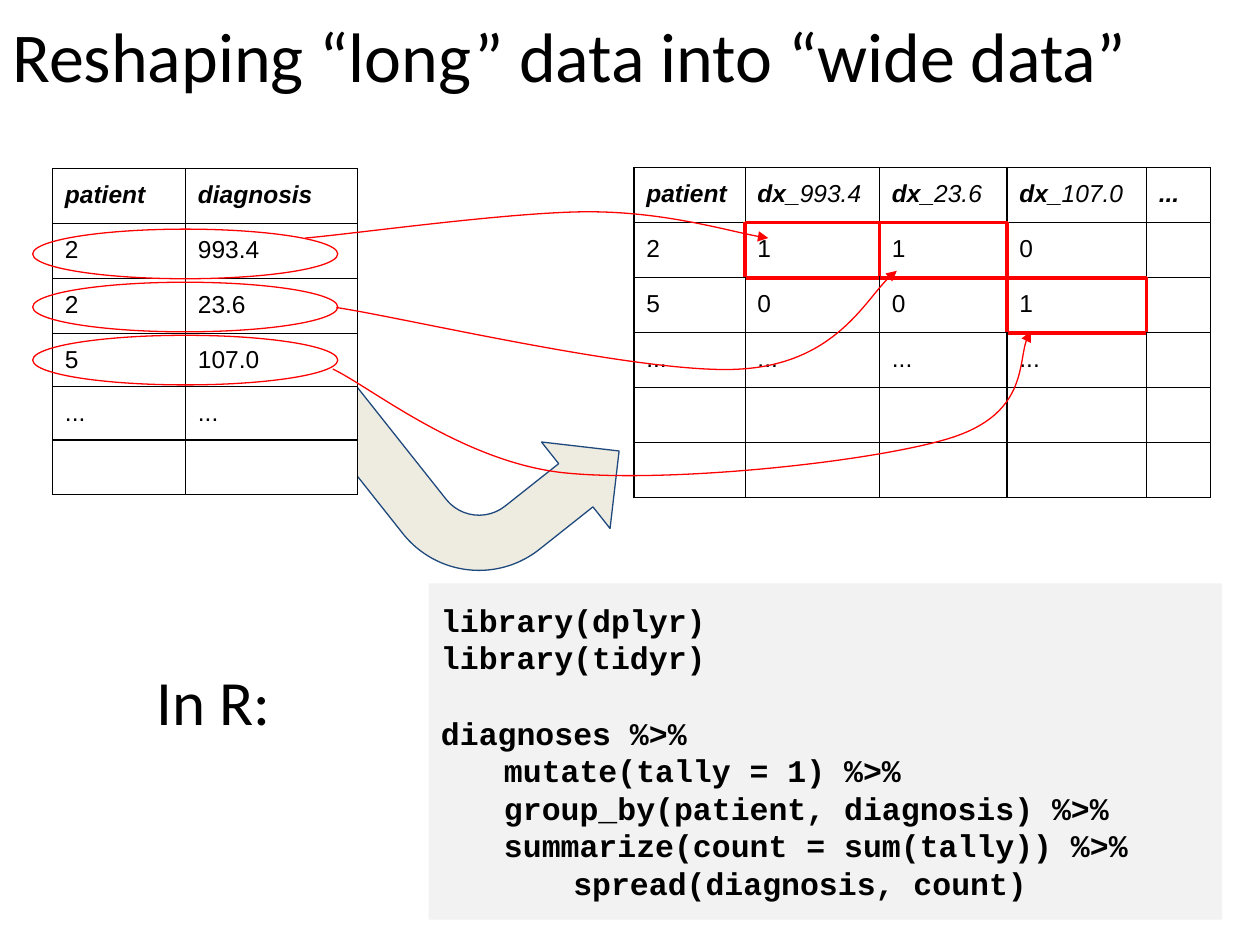
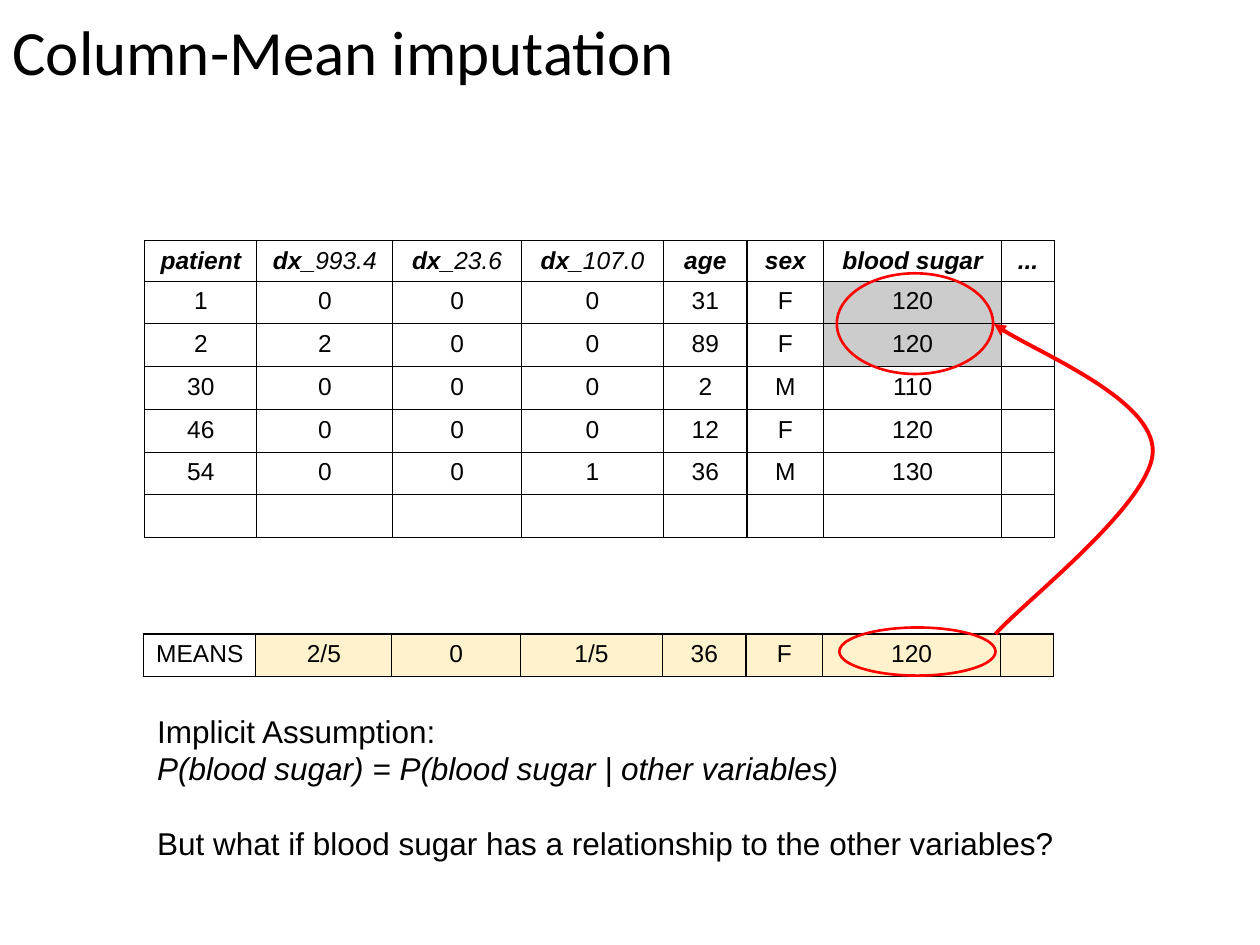
import lxml.etree
import pptx
import pptx.dml.color
import pptx.enum.shapes
import pptx.enum.text
import pptx.oxml.ns
import pptx.util

SHAPES = pptx.enum.shapes.MSO_SHAPE
ANCHOR = pptx.enum.text.MSO_ANCHOR
ALIGN = pptx.enum.text.PP_ALIGN
TITLE_ONLY = 5
BLACK, WHITE, RED = "000000", "FFFFFF", "FF0000"
SAND, NAVY, CODE_GREY, IMPUTED_GREY, MEANS_YELLOW = "EEECE1", "1F497D", "F2F2F2", "CCCCCC", "FFF2CC"
INSET = 0.25
SIDES = {"lnL": (0, -1), "lnR": (0, 1), "lnT": (-1, 0), "lnB": (1, 0)}


def color(hex_value):
    """Return the RGB colour for a hex string."""
    return pptx.dml.color.RGBColor.from_string(hex_value)


def lengths(*values):
    """Return centimetre values as lengths."""
    return [pptx.util.Cm(value) for value in values]


def assign(target, values):
    """Set every attribute named in a dict on the target."""
    for name, value in values.items():
        setattr(target, name, value)


def add_xml(parent, tag, **attributes):
    """Append a DrawingML child element and return it."""
    return lxml.etree.SubElement(parent, pptx.oxml.ns.qn(f"a:{tag}"), attributes)


class Deck:
    """Holds the deck style and the current slide."""

    def __init__(self):
        """Open a 4:3 presentation."""
        self.presentation = pptx.Presentation()
        size = lengths(25.4, 19.05)
        assign(self.presentation, dict(zip(("slide_width", "slide_height"), size)))
        self.slide = None

    def start_slide(self, title, size):
        """Add a slide with its title at the top left."""
        layout = self.presentation.slide_layouts[TITLE_ONLY]
        self.slide = self.presentation.slides.add_slide(layout)
        heading = self.slide.shapes.title
        box = lengths(0, 0, 24.13, 3.18)
        assign(heading, dict(zip(("left", "top", "width", "height"), box)))
        self.set_lines(heading, [title], "Calibri", size)

    def set_lines(self, shape, lines, face, size, gap_before=None, italic_line=None,
                  bold=False, anchor=ANCHOR.TOP, pitch=None):
        """Fill a shape with left-aligned lines, with one line of space before gap_before."""
        frame = shape.text_frame
        margins = dict.fromkeys(
            ("margin_left", "margin_right", "margin_top", "margin_bottom"), pptx.util.Cm(INSET))
        assign(frame, {"word_wrap": True, "vertical_anchor": anchor,
                       "auto_size": pptx.enum.text.MSO_AUTO_SIZE.NONE, **margins})
        for index, line in enumerate(lines):
            paragraph = frame.add_paragraph() if index else frame.paragraphs[0]
            paragraph.alignment = ALIGN.LEFT
            if pitch:
                paragraph.line_spacing = pptx.util.Pt(pitch)
            if index and index == gap_before:
                paragraph.space_before = pptx.util.Pt(pitch)
            self.add_run(paragraph, line, face, size, bold, index == italic_line)

    def add_run(self, paragraph, text, face, size, bold=False, italic=False):
        """Add one formatted run."""
        run = paragraph.add_run()
        run.text = text
        assign(run.font, {"name": face, "size": pptx.util.Pt(size), "bold": bold, "italic": italic})
        run.font.color.rgb = color(BLACK)

    def text(self, box, lines, face, size, **options):
        """Add a text box."""
        self.set_lines(self.slide.shapes.add_textbox(*lengths(*box)), lines, face, size, **options)

    def finish(self, shape, fill=None, line=None, width=0.75):
        """Give a shape its fill and outline without a shadow."""
        shape.shadow.inherit = False
        if fill:
            shape.fill.solid()
            shape.fill.fore_color.rgb = color(fill)
        else:
            shape.fill.background()
        if line:
            shape.line.color.rgb = color(line)
            shape.line.width = pptx.util.Pt(width)
        else:
            shape.line.fill.background()
        return shape

    def shape(self, kind, box, **style):
        """Add a preset shape."""
        return self.finish(self.slide.shapes.add_shape(kind, *lengths(*box)), **style)

    def bent_arrow(self, box, rotation, adjustments):
        """Add a mirrored, turned block arrow."""
        arrow = self.shape(SHAPES.BENT_ARROW, box, fill=SAND, line=NAVY)
        for index, value in enumerate(adjustments):
            arrow.adjustments[index] = value
        arrow.element.spPr.xfrm.set("flipH", "1")
        arrow.rotation = rotation

    def curved_arrow(self, points, width=0.75):
        """Draw a red cubic curve through a start point and triples of control points."""
        start, *controls = [lengths(*point) for point in points]
        builder = self.slide.shapes.build_freeform(*start)
        builder.add_line_segments(controls, close=False)
        curve = self.finish(builder.convert_to_shape(), line=RED, width=width)
        segments = list(curve.element.iter(pptx.oxml.ns.qn("a:lnTo")))
        outline = segments[0].getparent()
        for first in range(0, len(segments), 3):
            cubic = add_xml(outline, "cubicBezTo")
            for segment in segments[first:first + 3]:
                cubic.append(segment[0])
                outline.remove(segment)
        stroke = curve.element.spPr.find(pptx.oxml.ns.qn("a:ln"))
        add_xml(stroke, "tailEnd", type="triangle", w="med", len="med")

    def table(self, corner, widths, heights, rows, header=True, inset=INSET,
              align=ALIGN.LEFT, fills=None, outlined=()):
        """Add a ruled table, with special fills and red outlines by (row, column)."""
        box = (*corner, sum(widths), sum(heights))
        grid = self.slide.shapes.add_table(len(rows), len(widths), *lengths(*box)).table
        assign(grid, {"first_row": False, "horz_banding": False})
        for column, width in zip(grid.columns, lengths(*widths)):
            column.width = width
        for row, height in zip(grid.rows, lengths(*heights)):
            row.height = height
        for r, values in enumerate(rows):
            for c, value in enumerate(values):
                cell = grid.cell(r, c)
                assign(cell, dict.fromkeys(
                    ("margin_left", "margin_right", "margin_top", "margin_bottom"),
                    pptx.util.Cm(inset)))
                self.fill_cell(cell, value, header and r == 0, align)
                cell.fill.solid()
                cell.fill.fore_color.rgb = color((fills or {}).get((r, c), WHITE))
                self.rule_cell(cell, r, c, outlined)

    def fill_cell(self, cell, value, heading, align):
        """Put text in a cell, with only the part up to an underscore bold in headings."""
        paragraph = cell.text_frame.paragraphs[0]
        paragraph.alignment = align
        if not value:
            add_xml(paragraph._p, "endParaRPr", sz="1400")
            return
        stem, mark, code = value.partition("_")
        self.add_run(paragraph, stem + mark, "Arial", 14, heading, heading)
        if code:
            self.add_run(paragraph, code, "Arial", 14, False, heading)

    def rule_cell(self, cell, r, c, outlined):
        """Draw the four borders, red where they touch an outlined cell."""
        properties = cell._tc.get_or_add_tcPr()
        for index, (side, (down, across)) in enumerate(SIDES.items()):
            marked = (r, c) in outlined or (r + down, c + across) in outlined
            width = pptx.util.Pt(2.25 if marked else 0.75)
            border = add_xml(properties, side, w=str(width))
            add_xml(add_xml(border, "solidFill"), "srgbClr", val=RED if marked else BLACK)
            properties.insert(index, border)


def build_reshaping(deck):
    """Build the slide on reshaping long data into wide data."""
    deck.start_slide("Reshaping “long” data into “wide data”", 40)
    wide_rows = [
        ["patient", "dx_993.4", "dx_23.6", "dx_107.0", "..."],
        ["2", "1", "1", "0", ""],
        ["5", "0", "0", "1", ""],
        ["..."] * 4 + [""],
        [""] * 5,
        [""] * 5,
    ]
    deck.table((12.78, 3.38), [2.24, 2.71, 2.57, 2.81, 1.29], [1.11] * 4 + [1.08] * 2,
               wide_rows, outlined={(1, 1), (1, 2), (2, 3)})
    deck.bent_arrow((6.86, 4.62, 4.45, 7.54), 141.6, [0.25, 0.25, 0.25, 0.44])
    long_rows = [["patient", "diagnosis"], ["2", "993.4"], ["2", "23.6"], ["5", "107.0"],
                 ["...", "..."], ["", ""]]
    deck.table((1.06, 3.4), [2.68, 3.46], [1.11] * 3 + [1.07] * 3, long_rows)
    for index in range(3):
        deck.shape(SHAPES.OVAL, (0.66, 4.62 + 1.07 * index, 6.15, 1), line=RED)
    diagnosis_arrows = [
        [(6.15, 4.8), (7.09, 4.72), (10.31, 4.27), (11.86, 4.27),
         (13.41, 4.27), (14.88, 4.72), (15.49, 4.8)],
        [(6.78, 6.2), (8.13, 6.4), (13.06, 7.57), (14.94, 7.44),
         (16.84, 7.32), (17.58, 5.79), (18.08, 5.46)],
        [(6.71, 7.44), (7.47, 7.8), (9.3, 9.3), (11.35, 9.53),
         (13.44, 9.75), (17.55, 9.32), (19.13, 8.84),
         (20.7, 8.36), (20.5, 7.04), (20.78, 6.68)],
    ]
    for points in diagnosis_arrows:
        deck.curved_arrow(points)
    code_panel = deck.shape(SHAPES.RECTANGLE, (8.64, 11.76, 16, 6.78), fill=CODE_GREY)
    code_lines = [
        "library(dplyr)",
        "library(tidyr)",
        "diagnoses %>%",
        "\tmutate(tally = 1) %>%",
        "\tgroup_by(patient, diagnosis) %>%",
        "\tsummarize(count = sum(tally)) %>%",
        "       spread(diagnosis, count)",
    ]
    deck.set_lines(code_panel, code_lines, "Courier New", 18, gap_before=2, bold=True,
                   anchor=ANCHOR.MIDDLE, pitch=21.5)
    deck.text((2.9, 13.11, 5.92, 3.18), ["In R:"], "Calibri", 36)


def build_imputation(deck):
    """Build the slide on column-mean imputation."""
    deck.start_slide("Column-Mean imputation", 36)
    widths = [2.26, 2.74, 2.59, 2.87, 1.68, 1.55, 3.58, 1.07]
    patient_rows = [
        ["patient", "dx_993.4", "dx_23.6", "dx_107.0", "age", "sex", "blood sugar", "..."],
        ["1", "0", "0", "0", "31", "F", "120", ""],
        ["2", "2", "0", "0", "89", "F", "120", ""],
        ["30", "0", "0", "0", "2", "M", "110", ""],
        ["46", "0", "0", "0", "12", "F", "120", ""],
        ["54", "0", "0", "1", "36", "M", "130", ""],
        [""] * 8,
    ]
    centred = {"inset": 0.13, "align": ALIGN.CENTER}
    deck.table((2.92, 4.85), widths, [0.81] * 7, patient_rows,
               fills={(1, 6): IMPUTED_GREY, (2, 6): IMPUTED_GREY}, **centred)
    means = ["MEANS", "2/5", "0", "1/5", "36", "F", "120", ""]
    deck.table((2.9, 12.78), widths, [0.81], [means], header=False,
               fills={(0, column): MEANS_YELLOW for column in range(1, 8)}, **centred)
    for box in [(16.92, 12.65, 3.15, 0.97), (16.87, 5.51, 3.15, 2.03)]:
        deck.shape(SHAPES.OVAL, box, line=RED, width=1.5)
    deck.curved_arrow([(20.07, 12.78), (20.6, 12.17), (23.24, 10.13), (23.24, 9.09),
                       (23.24, 8.05), (20.57, 6.96), (20.04, 6.53)], width=2.25)
    assumption = [
        "Implicit Assumption:",
        "P(blood sugar) = P(blood sugar | other variables)",
        "But what if blood sugar has a relationship to the other variables?",
    ]
    deck.text((2.92, 14.1, 19.58, 3.71), assumption, "Arial", 18,
              gap_before=2, italic_line=1, pitch=21.5)


def main():
    """Build and save the deck."""
    deck = Deck()
    build_reshaping(deck)
    build_imputation(deck)
    deck.presentation.save("out.pptx")


if __name__ == "__main__":
    main()
